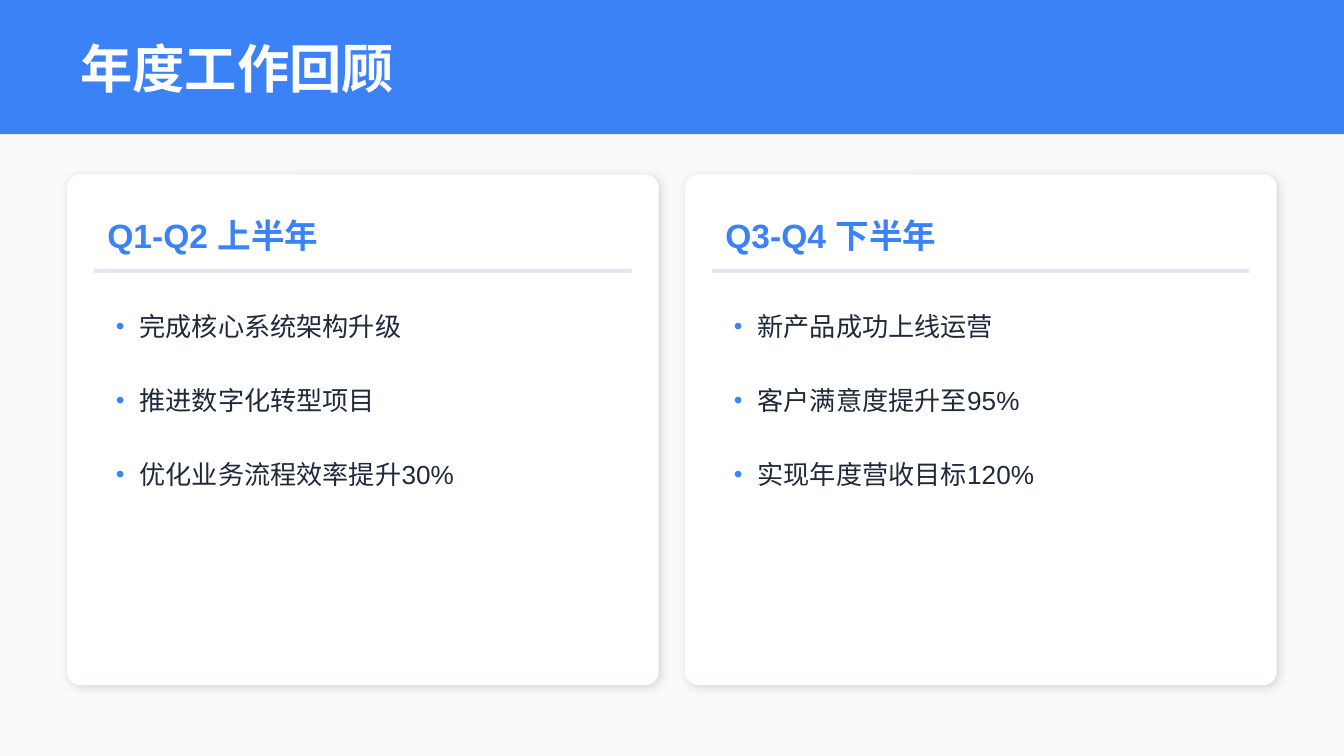
"""Build the annual work review slide with two half-year cards."""
from lxml import etree
from pptx import Presentation
from pptx.dml.color import RGBColor
from pptx.enum.shapes import MSO_SHAPE
from pptx.enum.text import MSO_ANCHOR, MSO_AUTO_SIZE, PP_ALIGN
from pptx.oxml.ns import qn
from pptx.util import Cm, Pt

BLUE = RGBColor(0x3B, 0x82, 0xF6)
WHITE = RGBColor(0xFF, 0xFF, 0xFF)
PALE = RGBColor(0xF8, 0xFA, 0xFC)
RULE = RGBColor(0xE2, 0xE8, 0xF0)
INK = RGBColor(0x1E, 0x29, 0x3B)

CARDS = [
    ("Q1-Q2 上半年", ["完成核心系统架构升级", "推进数字化转型项目", "优化业务流程效率提升30%"]),
    ("Q3-Q4 下半年", ["新产品成功上线运营", "客户满意度提升至95%", "实现年度营收目标120%"]),
]


def add_block(kind, left, top, width, height, color):
    shape = slide.shapes.add_shape(kind, Cm(left), Cm(top), Cm(width), Cm(height))
    shape.shadow.inherit = False
    shape.fill.solid()
    shape.fill.fore_color.rgb = color
    shape.line.fill.background()
    return shape


def write_text(shape, left, top, width, height, size, runs):
    shape.left, shape.top, shape.width, shape.height = Cm(left), Cm(top), Cm(width), Cm(height)
    frame = shape.text_frame
    frame.word_wrap = True
    frame.auto_size = MSO_AUTO_SIZE.NONE
    frame.vertical_anchor = MSO_ANCHOR.MIDDLE
    paragraph = frame.paragraphs[0]
    paragraph.alignment = PP_ALIGN.LEFT
    for text, color, bold in runs:
        run = paragraph.add_run()
        run.text = text
        run.font.name = "Arial"
        run.font.size = Pt(size)
        run.font.bold = bold
        run.font.color.rgb = color


presentation = Presentation()
presentation.slide_width = Cm(25.4)
presentation.slide_height = Cm(14.29)
slide = presentation.slides.add_slide(presentation.slide_layouts[5])

add_block(MSO_SHAPE.RECTANGLE, 0, 0, 25.4, 2.54, BLUE)
title = slide.shapes.title
write_text(title, 1.27, 0.51, 22.86, 1.52, 28, [("年度工作回顾", WHITE, True)])
slide.shapes.element.append(title.element)
add_block(MSO_SHAPE.RECTANGLE, 0, 2.54, 25.4, 11.75, PALE)

for column, (heading, items) in enumerate(CARDS):
    card_left = 1.27 + column * 11.68
    text_left = card_left + 0.51

    card = add_block(MSO_SHAPE.ROUNDED_RECTANGLE, card_left, 3.3, 11.18, 9.65, WHITE)
    card.adjustments[0] = 0.026
    effects = card.element.spPr.find(qn("a:effectLst"))
    shadow = etree.SubElement(effects, qn("a:outerShdw"), blurRad=str(Pt(6)), dist=str(Pt(2)),
                              dir="2700000", algn="bl", rotWithShape="0")
    shadow_color = etree.SubElement(shadow, qn("a:srgbClr"), val="000000")
    etree.SubElement(shadow_color, qn("a:alpha"), val="15000")

    heading_box = slide.shapes.add_textbox(0, 0, 0, 0)
    write_text(heading_box, text_left, 3.81, 10.16, 1.27, 18, [(heading, BLUE, True)])
    add_block(MSO_SHAPE.RECTANGLE, text_left, 5.08, 10.16, 0.08, RULE)

    for row, item in enumerate(items):
        item_box = slide.shapes.add_textbox(0, 0, 0, 0)
        write_text(item_box, text_left, 5.59 + row * 1.4, 10.16, 1.14, 14,
                   [("• ", BLUE, True), (item, INK, False)])

presentation.save("out.pptx")
